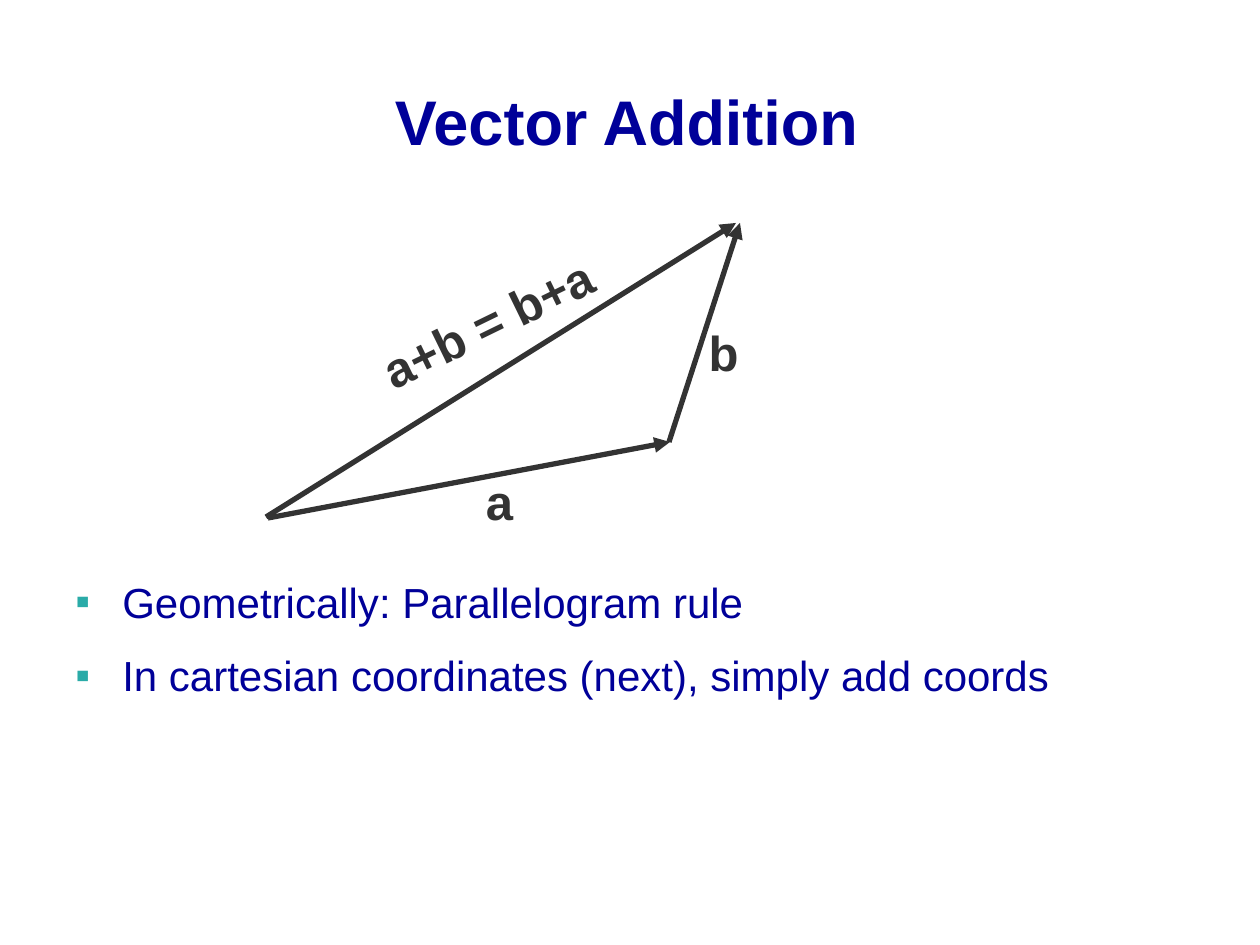
"""Build the Vector Addition slide: a triangle of vectors and two remarks."""
from dataclasses import dataclass

from lxml import etree
from pptx import Presentation
from pptx.dml.color import RGBColor
from pptx.enum.shapes import MSO_CONNECTOR
from pptx.enum.text import MSO_ANCHOR, MSO_AUTO_SIZE, PP_ALIGN
from pptx.oxml.ns import qn
from pptx.util import Emu, Pt

STRAIGHT = MSO_CONNECTOR.STRAIGHT
TOP, MIDDLE = MSO_ANCHOR.TOP, MSO_ANCHOR.MIDDLE
LEFT, CENTER = PP_ALIGN.LEFT, PP_ALIGN.CENTER
GROW = MSO_AUTO_SIZE.SHAPE_TO_FIT_TEXT
FIXED = MSO_AUTO_SIZE.NONE
BLANK_LAYOUT = 6
EMU_PER_INCH, PX_PER_INCH = 914400, 126


@dataclass(frozen=True)
class Theme:
    """Colours, font and sizes of the slide."""
    font: str = "Arial"
    navy: str = "000099"
    ink: str = "333333"
    teal: str = "2AABA8"
    title_size: int = 36
    label_size: int = 28
    body_size: int = 24
    body_gap: int = 13
    line_width: int = 3


THEME = Theme()


def px(length):
    """Turn whole pixels into EMU."""
    return Emu(round(length * EMU_PER_INCH / PX_PER_INCH))


def apply(target, values):
    """Set each named value on the target."""
    for name, value in values.items():
        setattr(target, name, value)


def style_font(font, size, color, bold):
    """Give a font its face, size, weight and colour."""
    apply(font, {"name": THEME.font, "size": Pt(size), "bold": bold})
    font.color.rgb = RGBColor.from_string(color)


def add_text_frame(slide, area, frame_format, rotation=0):
    """Add a text box and return its formatted frame."""
    box = slide.shapes.add_textbox(*map(px, area))
    box.rotation = rotation
    apply(box.text_frame, frame_format)
    return box.text_frame


def add_title(slide, text, area):
    """Add the centred slide title."""
    frame = add_text_frame(slide, area, {
        "word_wrap": True, "auto_size": FIXED, "vertical_anchor": MIDDLE})
    heading = frame.paragraphs[0]
    apply(heading, {"text": text, "alignment": CENTER})
    style_font(heading.font, THEME.title_size, THEME.navy, True)


def add_label(slide, text, area, rotation=0, wrap=False):
    """Add the name of a vector."""
    frame = add_text_frame(slide, area, {
        "word_wrap": wrap, "auto_size": GROW, "vertical_anchor": TOP}, rotation)
    name = frame.paragraphs[0]
    apply(name, {"text": text, "alignment": CENTER})
    style_font(name.font, THEME.label_size, THEME.ink, True)


def add_bullet(paragraph, indent):
    """Hang a small coloured square before the paragraph."""
    properties = paragraph._p.get_or_add_pPr()
    properties.set("marL", str(indent))
    properties.set("indent", str(-indent))
    color = etree.SubElement(properties, qn("a:buClr"))
    etree.SubElement(color, qn("a:srgbClr"), val=THEME.teal)
    etree.SubElement(properties, qn("a:buFont"), typeface=THEME.font)
    etree.SubElement(properties, qn("a:buChar"), char="▪")


def add_remarks(slide, remarks, area):
    """Add the bulleted remarks."""
    frame = add_text_frame(slide, area, {
        "word_wrap": True, "auto_size": FIXED, "vertical_anchor": TOP})
    for index, text in enumerate(remarks):
        remark = frame.add_paragraph() if index else frame.paragraphs[0]
        add_bullet(remark, px(47))
        apply(remark, {"text": text, "alignment": LEFT,
                       "space_before": Pt(THEME.body_gap if index else 0)})
        style_font(remark.font, THEME.body_size, THEME.navy, False)


def add_vector(slide, start, end):
    """Draw an arrow from start to end."""
    vector = slide.shapes.add_connector(STRAIGHT, *map(px, start + end))
    vector.line.width = Pt(THEME.line_width)
    vector.line.color.rgb = RGBColor.from_string(THEME.ink)
    etree.SubElement(vector.line._get_or_add_ln(), qn("a:tailEnd"), type="triangle")
    etree.SubElement(vector._element.spPr, qn("a:effectLst"))


def main():
    """Build and save the slide."""
    deck = Presentation()
    apply(deck, {"slide_width": px(1260), "slide_height": px(945)})
    slide = deck.slides.add_slide(deck.slide_layouts[BLANK_LAYOUT])

    add_title(slide, "Vector Addition", (93, 73, 1067, 95))
    add_remarks(slide, (
        "Geometrically: Parallelogram rule",
        "In cartesian coordinates (next), simply add coords",
    ), (63, 570, 1134, 334))

    add_vector(slide, (268, 518), (670, 442))
    add_vector(slide, (669, 442), (740, 223))
    add_vector(slide, (266, 517), (736, 223))

    add_label(slide, "a", (473, 465, 53, 72))
    add_label(slide, "b", (696, 316, 55, 72))
    add_label(slide, "a+b = b+a", (339, 287, 297, 72), rotation=334, wrap=True)

    deck.save("out.pptx")


if __name__ == "__main__":
    main()
